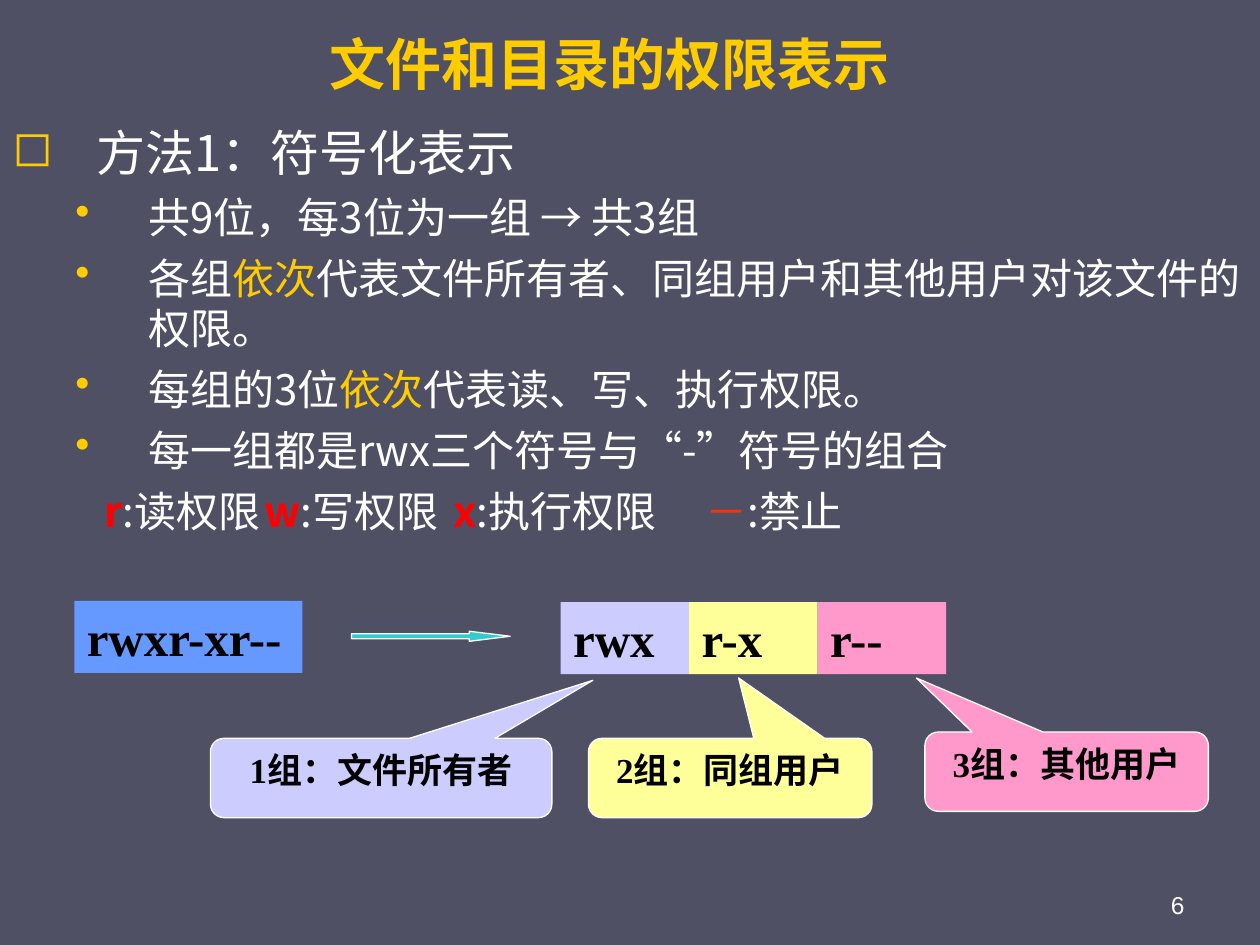
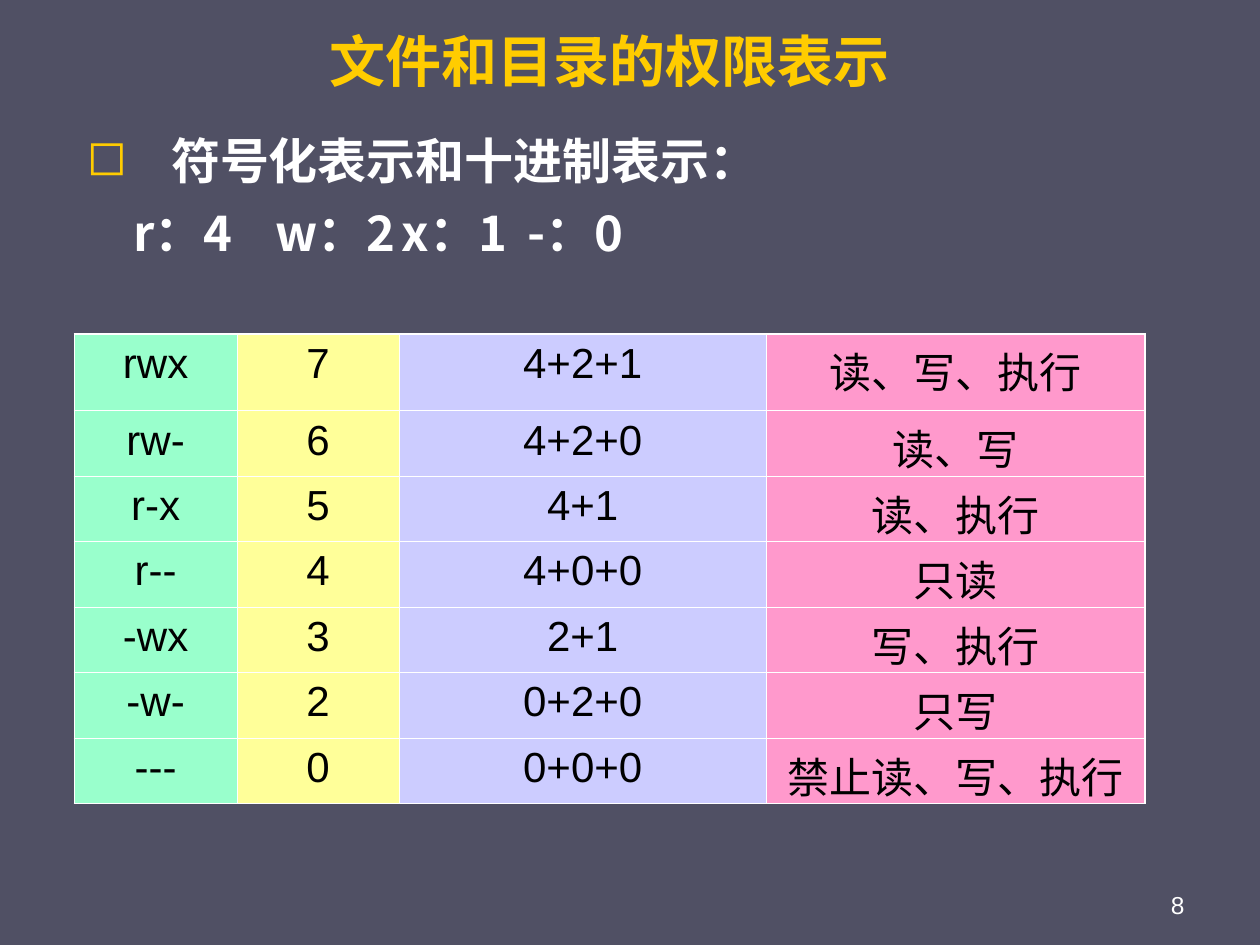
from lxml import etree
from pptx import Presentation
from pptx.dml.color import RGBColor
from pptx.enum.shapes import MSO_SHAPE
from pptx.enum.text import MSO_ANCHOR, MSO_AUTO_SIZE, PP_ALIGN
from pptx.oxml.ns import qn
from pptx.util import Inches, Pt

RECTANGLE = MSO_SHAPE.RECTANGLE
ARROW = MSO_SHAPE.RIGHT_ARROW
CALLOUT = MSO_SHAPE.ROUNDED_RECTANGULAR_CALLOUT
CENTER, RIGHT = PP_ALIGN.CENTER, PP_ALIGN.RIGHT
TOP, MIDDLE, BOTTOM = MSO_ANCHOR.TOP, MSO_ANCHOR.MIDDLE, MSO_ANCHOR.BOTTOM
NO_AUTOFIT = MSO_AUTO_SIZE.NONE

BACKGROUND, WHITE, BLACK, GOLD = "505064", "FFFFFF", "000000", "FFCC00"
LILAC, YELLOW, PINK, MINT = "CCCCFF", "FFFF99", "FF99CC", "99FFCC"
RED, ORANGE = "FF0000", "FF3300"
CJK, SANS, SERIF, QUOTE = "Noto Sans CJK SC", "Arial", "Times New Roman", "Cabin"
LEFT = 0.59  # shared left margin
WIDTH = 8.5  # shared width of the title and the table


def color(hex_value):
    return RGBColor.from_string(hex_value)


def write(paragraph, pieces, size, font=CJK, ink=WHITE, bold=False):
    """Write (text, overrides) pieces as runs of one paragraph."""
    for text, changes in pieces:
        run = paragraph.add_run()
        run.text = text
        run.font.size = Pt(size)
        run.font.name = changes.get("font", font)
        run.font.bold = changes.get("bold", bold)
        run.font.color.rgb = color(changes.get("ink", ink))
        east_asian = etree.Element(qn("a:ea"), typeface=CJK)
        run.font._element.find(qn("a:latin")).addnext(east_asian)


presentation = Presentation()
presentation.slide_width = Inches(10)
presentation.slide_height = Inches(7.5)
master_fill = presentation.slide_master.background.fill
master_fill.solid()
master_fill.fore_color.rgb = color(BACKGROUND)
title_only = presentation.slide_layouts[5]

# Body paragraphs: pieces, size, left margin, first-line indent, bullet, tab stops
heading = (28, 0.67, -0.67, "◻", [])
point = (24, 1.08, -0.58, "•", [])
gold, red = {"ink": GOLD}, {"ink": RED, "bold": True}
symbol_lines = [
    ([("方法1：符号化表示", {})], *heading),
    ([("共9位，每3位为一组 ", {}), ("→", {"font": SANS}), (" 共3组", {})], *point),
    ([("各组", {}), ("依次", gold),
      ("代表文件所有者、同组用户和其他用户对该文件的权限。", {})], *point),
    ([("每组的3位", {}), ("依次", gold), ("代表读、写、执行权限。", {})], *point),
    ([("每一组都是rwx三个符号与", {}), ("“", {"font": QUOTE}), ("-", {}),
      ("”", {"font": QUOTE}), ("符号的组合", {})], *point),
    ([("r", red), (":读权限\t", {}), ("w", red), (":写权限\t", {}), ("x", red),
      (":执行权限\t", {}), ("－", {"ink": ORANGE}), (":禁止", {})],
     24, 0, 0.73, None, [2.46, 4.4, 6.42]),
]
bold = {"bold": True}
decimal_lines = [
    ([("符号化表示和十进制表示：", bold)], *heading),
    ([("r：4\tw：2\tx：1\t-：0", bold)], 28, 0, 0.37, None, [1.77, 3.34, 4.72]),
]

# Shared parts: side rule, page number, title and body text
pages = [
    ("6", 0.58, (0, 0.92, 10, 5.93), symbol_lines),
    ("8", 0.54, (LEFT, 0.99, 9.17, 1.81), decimal_lines),
]
slides = []
for number, title_height, body_box, lines in pages:
    slide = presentation.slides.add_slide(title_only)
    slides.append(slide)

    outline = slide.shapes.build_freeform(Inches(0.31), Inches(3.07))
    outline.add_line_segments([(Inches(0.31), Inches(6.39))])
    side_rule = outline.convert_to_shape()
    side_rule.shadow.inherit = False
    side_rule.fill.solid()
    side_rule.fill.fore_color.rgb = color("6BBA27")
    side_rule.line.fill.background()

    page_number = slide.shapes.add_textbox(
        Inches(7.17), Inches(6.83), Inches(2.33), Inches(0.52))
    frame = page_number.text_frame
    frame.word_wrap = True
    frame.vertical_anchor = BOTTOM
    frame.paragraphs[0].alignment = RIGHT
    write(frame.paragraphs[0], [(number, {})], 14, SANS)

    title = slide.shapes.title
    title.left, title.top = Inches(LEFT), Inches(0.21)
    title.width, title.height = Inches(WIDTH), Inches(title_height)
    frame = title.text_frame
    frame.auto_size = NO_AUTOFIT
    frame.vertical_anchor = MIDDLE
    frame.paragraphs[0].alignment = CENTER
    write(frame.paragraphs[0], [("文件和目录的权限表示", {})], 32, ink=GOLD, bold=True)

    body = slide.shapes.add_textbox(*map(Inches, body_box))
    frame = body.text_frame
    frame.word_wrap = True
    for index, (pieces, size, margin, indent, bullet, stops) in enumerate(lines):
        paragraph = frame.add_paragraph() if index else frame.paragraphs[0]
        properties = paragraph._p.get_or_add_pPr()
        properties.set("marL", str(Inches(margin)))
        properties.set("indent", str(Inches(indent)))
        if bullet:
            bullet_color = etree.SubElement(properties, qn("a:buClr"))
            etree.SubElement(bullet_color, qn("a:srgbClr"), val=GOLD)
            etree.SubElement(properties, qn("a:buChar"), char=bullet)
        if stops:
            tab_list = etree.SubElement(properties, qn("a:tabLst"))
            for stop in stops:
                etree.SubElement(tab_list, qn("a:tab"), pos=str(Inches(stop)), algn="l")
        if index:
            paragraph.space_before = Pt(size / 4)
        write(paragraph, pieces, size)

symbol_slide, decimal_slide = slides

# Permission string, arrow, its three groups and their callouts
group_width = 1.02
diagram = [
    (RECTANGLE, (LEFT, 4.77, 1.81, 0.57), "6699FF", "rwxr-xr--", []),
    (ARROW, (2.79, 5.01, 1.26, 0.08), "33CCCC", "", [0.5, 4.06]),
]
for column, (text, fill) in enumerate([("rwx", LILAC), ("r-x", YELLOW), ("r--", PINK)]):
    box = (4.45 + column * group_width, 4.78, group_width, 0.57)
    diagram.append((RECTANGLE, box, fill, text, []))
diagram += [
    (CALLOUT, (1.67, 5.86, 2.71, 0.63), LILAC, "1组：文件所有者", [0.62, -1.23, 0.17]),
    (CALLOUT, (4.67, 5.86, 2.25, 0.63), YELLOW, "2组：同组用户", [0.03, -1.26, 0.17]),
    (CALLOUT, (7.34, 5.81, 2.25, 0.63), PINK, "3组：其他用户", [-0.53, -1.18, 0.17]),
]
for kind, box, fill, text, adjustments in diagram:
    shape = symbol_slide.shapes.add_shape(kind, *map(Inches, box))
    shape.shadow.inherit = False
    shape.fill.solid()
    shape.fill.fore_color.rgb = color(fill)
    for index, value in enumerate(adjustments):
        shape.adjustments[index] = value
    if kind == RECTANGLE:
        shape.line.fill.background()
    else:
        shape.line.color.rgb = color(WHITE)
        shape.line.width = Pt(0.75)
    if text:
        frame = shape.text_frame
        frame.word_wrap = True
        frame.vertical_anchor = TOP
        paragraph = frame.paragraphs[0]
        paragraph.alignment = CENTER if kind == CALLOUT else PP_ALIGN.LEFT
        size = 20 if kind == CALLOUT else 28
        write(paragraph, [(text, {})], size, SERIF, BLACK, True)

# Table of permissions: symbols, digit, sum, meaning
permissions = [
    ("rwx", "7", "4+2+1", "读、写、执行"),
    ("rw-", "6", "4+2+0", "读、写"),
    ("r-x", "5", "4+1", "读、执行"),
    ("r--", "4", "4+0+0", "只读"),
    ("-wx", "3", "2+1", "写、执行"),
    ("-w-", "2", "0+2+0", "只写"),
    ("---", "0", "0+0+0", "禁止读、写、执行"),
]
column_widths = [1.29, 1.29, 2.91, 3.01]
column_fills = [MINT, YELLOW, LILAC, PINK]
last_row, last_column = len(permissions) - 1, len(column_widths) - 1
table = decimal_slide.shapes.add_table(
    len(permissions), len(column_widths),
    Inches(LEFT), Inches(2.65), Inches(WIDTH), Inches(3.72)).table
table.first_row = table.horz_banding = False
for column, width in enumerate(column_widths):
    table.columns[column].width = Inches(width)
for row, values in enumerate(permissions):
    table.rows[row].height = Inches(0.52 if row else 0.61)
    for column, value in enumerate(values):
        cell = table.cell(row, column)
        edges = {"a:lnL": column == 0, "a:lnR": column == last_column,
                 "a:lnT": row == 0, "a:lnB": row == last_row}
        for edge, is_outer in edges.items():
            border = etree.SubElement(cell._tc.get_or_add_tcPr(), qn(edge),
                                      w=str(Pt(1.08 if is_outer else 0.45)))
            border_fill = etree.SubElement(border, qn("a:solidFill"))
            etree.SubElement(border_fill, qn("a:srgbClr"), val=WHITE)
        cell.fill.solid()
        cell.fill.fore_color.rgb = color(column_fills[column])
        paragraph = cell.text_frame.paragraphs[0]
        paragraph.alignment = CENTER
        write(paragraph, [(value, {})], 24, SANS, BLACK)

presentation.save("out.pptx")
